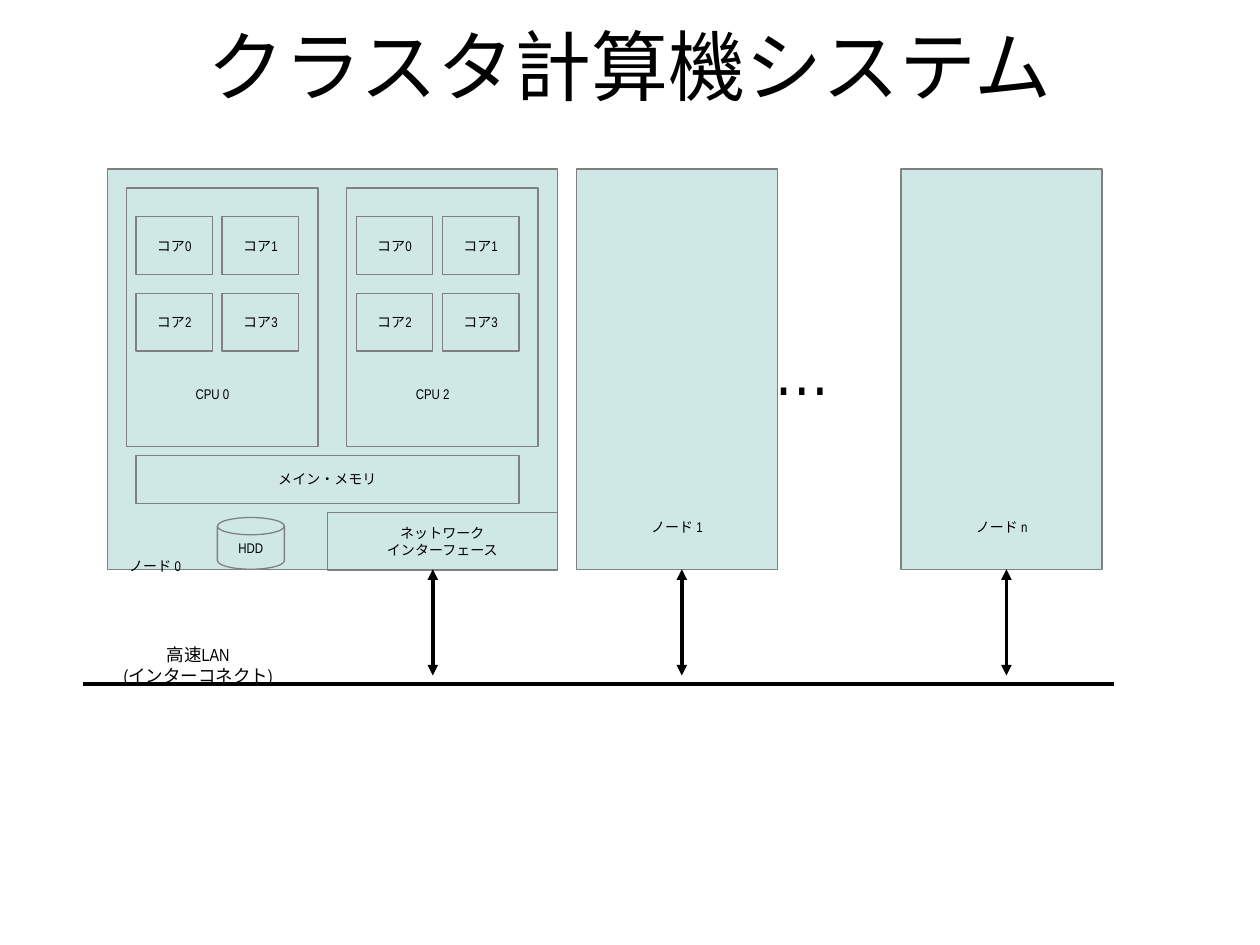
from lxml.etree import SubElement as Sub
from pptx import Presentation
from pptx.dml.color import RGBColor as Rgb
from pptx.enum.shapes import MSO_CONNECTOR as Conn, MSO_SHAPE as Kind
from pptx.enum.text import MSO_ANCHOR as Anchor, PP_ALIGN as Align
from pptx.oxml.ns import qn
from pptx.util import Inches, Pt

HUES = {"fill": "CFE7E5", "edge": "808080", "ink": "000000"}
UNIT = Inches(0.076)
ROOT = (11.2, 17.65)
TALL = 41.8
LAN = 53.8


def hue(name):
    return Rgb.from_string(HUES[name])


def place(box, col, row):
    return box[0] + col, box[1] + row


def span(*cells):
    return [round(cell * UNIT) for cell in cells]


def write(shape, text, size=8, font="Arial Narrow", align=Align.CENTER,
          anchor=Anchor.MIDDLE, wrap=False):
    frame = shape.text_frame
    frame.word_wrap = wrap
    frame.vertical_anchor = anchor
    frame.text = text
    for para in frame.paragraphs:
        para.alignment = align
        para.font.size = Pt(size)
        para.font.name = font
        para.font.color.rgb = hue("ink")


def label(slide, box, wide, high, text, **form):
    shape = slide.shapes.add_textbox(*span(*box, wide, high))
    write(shape, text, **{"anchor": Anchor.TOP, "wrap": True, **form})


def block(slide, box, wide, high, text="", kind=Kind.RECTANGLE):
    shape = slide.shapes.add_shape(kind, *span(*box, wide, high))
    shape.shadow.inherit = False
    shape.fill.solid()
    shape.fill.fore_color.rgb = hue("fill")
    shape.line.color.rgb = hue("edge")
    shape.line.width = 0
    if text:
        write(shape, text)


def line(slide, start, end, heads=False):
    link = slide.shapes.add_connector(Conn.STRAIGHT, *span(*start, *end))
    link.line.color.rgb = hue("ink")
    link.line.width = 0
    if heads:
        for tag in ("a:headEnd", "a:tailEnd"):
            Sub(link.line._ln, qn(tag), type="triangle")
    Sub(link._element.spPr, qn("a:effectLst"))


def arrow(slide, box, col):
    line(slide, place(box, col, TALL), place(box, col, LAN - 0.9), heads=True)


def cpu(slide, box, name):
    block(slide, box, 20, 27)
    label(slide, place(box, 4, 20), 10, 7.7, name)
    for core in range(4):
        row, col = divmod(core, 2)
        spot = place(box, 1 + 9 * col, 3 + 8 * row)
        block(slide, spot, 8, 6, f"コア{core}")


def host(slide, box):
    block(slide, box, 47, TALL)
    label(slide, place(box, -2.5, 39.9), 15, 5, "ノード 0")
    for col, name in ((2, "CPU 0"), (25, "CPU 2")):
        cpu(slide, place(box, col, 2), name)
    block(slide, place(box, 3, 29.9), 40, 5, "メイン・メモリ")
    block(slide, place(box, 11.5, 36.4), 7, 5.4, "HDD",
          Kind.FLOWCHART_MAGNETIC_DISK)
    block(slide, place(box, 23, 35.9), 24, 6, "ネットワーク\nインターフェース")
    arrow(slide, box, 34)


def node(slide, box, name):
    block(slide, box, 21, TALL)
    label(slide, place(box, 3, 35.9), 15, 5, name)
    arrow(slide, box, 11)


def lan(slide, box):
    line(slide, place(box, -2.5, LAN), place(box, 105.1, LAN))
    label(slide, place(box, -6, 48.9), 31, 9,
          "高速LAN\n(インターコネクト)", size=10)


def title(slide, wide, high):
    shape = slide.shapes.add_textbox(
        round(wide * 0.05), round(high * 0.012),
        round(wide * 0.9), round(high * 0.112))
    write(shape, "クラスタ計算機システム", size=44, font="Calibri", wrap=True)


def main():
    deck = Presentation()
    deck.slide_width, deck.slide_height = Inches(10), Inches(7.5)
    slide = deck.slides.add_slide(deck.slide_layouts[6])
    title(slide, deck.slide_width, deck.slide_height)
    host(slide, ROOT)
    for col, name in ((49, "ノード 1"), (82.9, "ノード n")):
        node(slide, place(ROOT, col, 0), name)
    label(slide, place(ROOT, 68.3, 15.7), 17.9, 15.4, "…",
          size=40, align=Align.LEFT)
    lan(slide, ROOT)
    deck.save("out.pptx")


if __name__ == "__main__":
    main()
